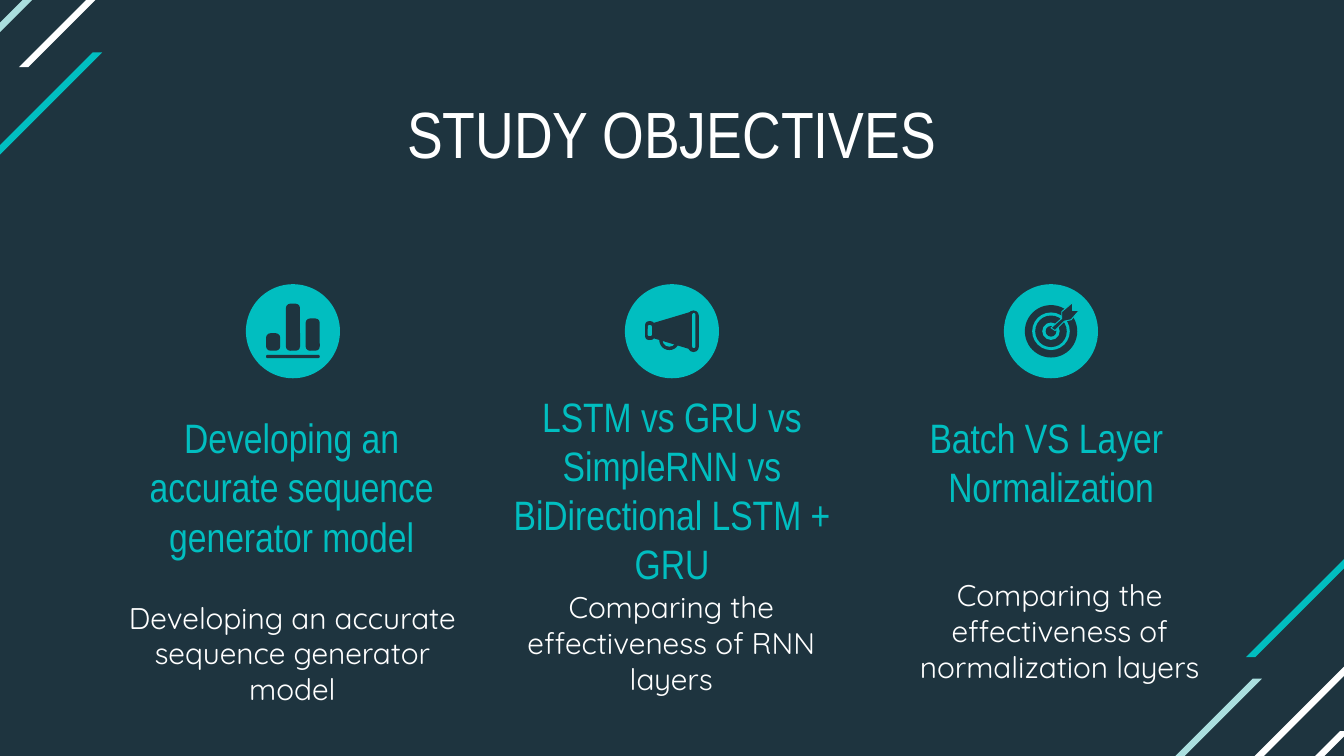
from pptx import Presentation
from pptx.dml.color import RGBColor
from pptx.enum.shapes import MSO_SHAPE as Shape
from pptx.enum.text import MSO_ANCHOR as Anchor, PP_ALIGN as Align
from pptx.util import Inches, Pt

COLORS = {"navy": "1E343F", "teal": "01BEC0", "mint": "ABDFDF", "white": "FFFFFF"}
HEADING_FONT, BODY_FONT = "Arial Narrow", "Quicksand"
ICON_Y = 2.465

# Left end, top, rise and colour of each diagonal stripe
STRIPES = [
    (-0.39, -0.34, 0.9, "mint"),
    (0.14, -0.58, 1.08, "white"),
    (9.13, 4.75, 1.08, "white"),
    (8.41, 5.05, 0.91, "mint"),
    (9.27, 3.81, 1.08, "teal"),
    (9.37, 5.44, 0.6, "white"),
    (-0.39, 0.39, 1.08, "teal"),
]


def color(name):
    return RGBColor.from_string(COLORS[name])


def paint(shape, fill):
    shape.shadow.inherit = False
    shape.fill.solid()
    shape.fill.fore_color.rgb = color(fill)
    shape.line.fill.background()
    return shape


def add_polygon(page, points, fill):
    # The builder rounds its coordinates, so it works in thousandths of an inch
    grid = [(round(x * 1000), round(y * 1000)) for x, y in points]
    builder = page.shapes.build_freeform(*grid[0], scale=Inches(1) / 1000)
    builder.add_line_segments(grid[1:], close=True)
    return paint(builder.convert_to_shape(), fill)


def add_stripe(page, left, top, rise, fill, width=0.07):
    bottom = top + rise
    add_polygon(page, [(left + rise, top), (left, bottom), (left + width, bottom),
                       (left + rise + width, top)], fill)


def add_disc(page, x, y, diameter, fill):
    corner = Inches(x - diameter / 2), Inches(y - diameter / 2)
    paint(page.shapes.add_shape(Shape.OVAL, *corner, Inches(diameter), Inches(diameter)), fill)


def add_bar(page, left, top, right, bottom, fill, rounding=0.3):
    sides = [Inches(n) for n in (left, top, right - left, bottom - top)]
    bar = paint(page.shapes.add_shape(Shape.ROUNDED_RECTANGLE, *sides), fill)
    bar.adjustments[0] = rounding


def write(box, lines, font, size, fill):
    frame = box.text_frame
    frame.word_wrap = True
    frame.vertical_anchor = Anchor.TOP
    frame.margin_left = frame.margin_right = Inches(0.1)
    frame.margin_top = frame.margin_bottom = Inches(0.1)
    for index, line in enumerate(lines):
        para = frame.add_paragraph() if index else frame.paragraphs[0]
        para.alignment = Align.CENTER
        span = para.add_run()
        span.text = line
        span.font.name = font
        span.font.size = Pt(size)
        span.font.color.rgb = color(fill)


def add_text(page, left, top, width, height, lines, font, size, fill):
    box = page.shapes.add_textbox(Inches(left), Inches(top), Inches(width), Inches(height))
    write(box, lines, font, size, fill)


def add_title(page, text):
    title = page.shapes.title
    title.left, title.top = Inches(0.78), Inches(0.59)
    title.width, title.height = Inches(8.44), Inches(0.82)
    write(title, [text], HEADING_FONT, 35, "white")


def draw_chart_icon(page, x):
    for index, top in enumerate((2.48, 2.26, 2.37)):
        left = x - 0.2 + index * 0.147
        add_bar(page, left, top, left + 0.105, 2.61, "navy")
    add_bar(page, x - 0.2, 2.64, x + 0.2, 2.665, "navy", 0.5)


def draw_megaphone_icon(page, x):
    # Handle ring, partly covered by the cone
    add_disc(page, x - 0.02, 2.53, 0.15, "navy")
    add_disc(page, x - 0.02, 2.53, 0.1, "teal")
    add_polygon(page, [(x - 0.16, 2.41), (x + 0.14, 2.32), (x + 0.14, 2.6), (x - 0.16, 2.51)],
                "navy")
    # Mouthpiece and bell, each with a slot
    add_bar(page, x - 0.2, 2.39, x - 0.13, 2.53, "navy", 0.4)
    add_bar(page, x - 0.18, 2.42, x - 0.15, 2.5, "teal")
    add_bar(page, x + 0.12, 2.31, x + 0.2, 2.62, "navy", 0.5)
    add_bar(page, x + 0.15, 2.33, x + 0.175, 2.59, "teal", 0.5)


def draw_target_icon(page, x):
    rings = [(0.39, "navy"), (0.28, "teal"), (0.235, "navy"), (0.13, "teal"), (0.08, "navy")]
    for diameter, fill in rings:
        add_disc(page, x, ICON_Y, diameter, fill)
    # Dart, edged so that it stands clear of the rings
    outline = [(0.15, 2.26), (0.08, 2.32), (0.08, 2.37), (0, 2.44), (0.03, 2.46), (0.1, 2.39),
               (0.15, 2.38), (0.21, 2.31), (0.16, 2.31), (0.16, 2.26)]
    dart = add_polygon(page, [(x + dx, y) for dx, y in outline], "navy")
    dart.line.color.rgb = color("teal")
    dart.line.width = Pt(0.5)


# Icon centre and drawing, heading (left, top, lines), description (left, top, text)
OBJECTIVES = [
    (2.18, draw_chart_icon,
     (0.77, 2.97, ["Developing an accurate sequence generator model"]),
     (0.77, 4.36, "Developing an accurate sequence generator model")),
    (5.0, draw_megaphone_icon,
     (3.6, 2.81, ["LSTM vs GRU vs SimpleRNN vs BiDirectional LSTM + GRU"]),
     (3.59, 4.28, "Comparing the effectiveness of RNN layers")),
    (7.82, draw_target_icon,
     (6.42, 2.97, ["Batch VS Layer ", "Normalization"]),
     (6.48, 4.19, "Comparing the effectiveness of normalization layers")),
]


def add_objective(page, x, draw_icon, heading, description):
    left, top, lines = heading
    add_text(page, left, top, 2.8, 0.67, lines, HEADING_FONT, 22, "teal")
    left, top, text = description
    add_text(page, left, top, 2.81, 0.7, [text], BODY_FONT, 16, "white")
    add_disc(page, x, ICON_Y, 0.7, "teal")
    draw_icon(page, x)


def main():
    deck = Presentation()
    # Widescreen, 16 to 9
    deck.slide_width, deck.slide_height = Inches(10), Inches(10 * 9 / 16)
    page = deck.slides.add_slide(deck.slide_layouts[5])
    page.background.fill.solid()
    page.background.fill.fore_color.rgb = color("navy")

    for stripe in STRIPES:
        add_stripe(page, *stripe)
    add_title(page, "STUDY OBJECTIVES")
    for objective in OBJECTIVES:
        add_objective(page, *objective)

    deck.save("out.pptx")


if __name__ == "__main__":
    main()
